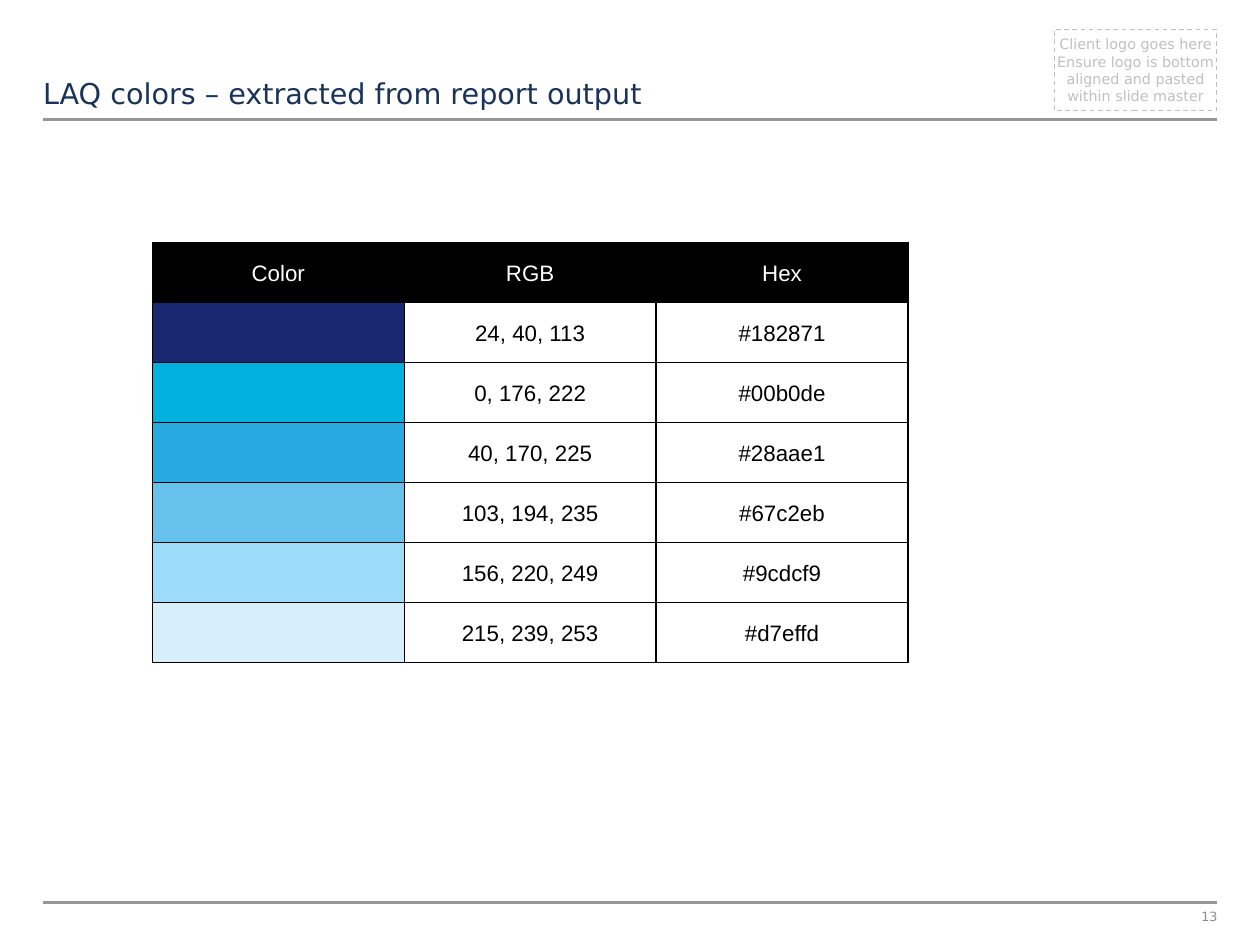
from lxml import etree
from pptx import Presentation
from pptx.dml.color import RGBColor
from pptx.enum.dml import MSO_LINE
from pptx.enum.shapes import MSO_CONNECTOR, MSO_SHAPE
from pptx.enum.text import MSO_ANCHOR, MSO_AUTO_SIZE, PP_ALIGN
from pptx.oxml.ns import qn
from pptx.util import Pt

LEFT, CENTER, RIGHT = PP_ALIGN.LEFT, PP_ALIGN.CENTER, PP_ALIGN.RIGHT
MIDDLE, BOTTOM = MSO_ANCHOR.MIDDLE, MSO_ANCHOR.BOTTOM
NO_AUTOFIT = MSO_AUTO_SIZE.NONE
STRAIGHT = MSO_CONNECTOR.STRAIGHT
RECTANGLE = MSO_SHAPE.RECTANGLE
DASH = MSO_LINE.DASH

NAVY = RGBColor(0x1A, 0x34, 0x59)
BLACK = RGBColor(0, 0, 0)
WHITE = RGBColor(255, 255, 255)
RULE_GRAY = RGBColor(0x96, 0x96, 0x96)
NUMBER_GRAY = RGBColor(0x8C, 0x8C, 0x8C)
BORDER_GRAY = RGBColor(0xBF, 0xBF, 0xBF)
HINT_GRAY = RGBColor(0xC0, 0xC0, 0xC0)

SLIDE_WIDTH, SLIDE_HEIGHT = 791.28, 592.56
RULE_LEFT, RULE_RIGHT = 27, 764
HEADER = ("Color", "RGB", "Hex")
SWATCHES = (
    (24, 40, 113),
    (0, 176, 222),
    (40, 170, 225),
    (103, 194, 235),
    (156, 220, 249),
    (215, 239, 253),
)


class SlideBuilder:
    title_only_layout = 5
    heading_font = "DejaVu Sans"
    table_font = "Arial"

    def __init__(self, presentation):
        layout = presentation.slide_layouts[self.title_only_layout]
        self.slide = presentation.slides.add_slide(layout)

    def add_text(self, paragraph, text, size, color, font, align):
        paragraph.alignment = align
        run = paragraph.add_run()
        run.text = text
        run.font.size = Pt(size)
        run.font.name = font
        run.font.color.rgb = color

    def fill_frame(self, frame, lines, size, color, align, anchor):
        """Put one paragraph per line into a frame without margins."""
        frame.word_wrap = True
        frame.auto_size = NO_AUTOFIT
        frame.vertical_anchor = anchor
        frame.margin_left = frame.margin_right = 0
        frame.margin_top = frame.margin_bottom = 0
        for index, line in enumerate(lines):
            paragraph = frame.add_paragraph() if index else frame.paragraphs[0]
            self.add_text(paragraph, line, size, color, self.heading_font, align)

    def title(self, text, left, top, width, height):
        shape = self.slide.shapes.title
        shape.left, shape.top = Pt(left), Pt(top)
        shape.width, shape.height = Pt(width), Pt(height)
        self.fill_frame(shape.text_frame, [text], 18, NAVY, LEFT, BOTTOM)

    def page_number(self, text, left, top, width, height):
        shape = self.slide.shapes.add_textbox(Pt(left), Pt(top), Pt(width), Pt(height))
        self.fill_frame(shape.text_frame, [text], 8, NUMBER_GRAY, RIGHT, MIDDLE)

    def logo_box(self, lines, left, top, width, height):
        shape = self.slide.shapes.add_shape(
            RECTANGLE, Pt(left), Pt(top), Pt(width), Pt(height))
        shape.shadow.inherit = False
        shape.fill.background()
        shape.line.color.rgb = BORDER_GRAY
        shape.line.width = Pt(0.75)
        shape.line.dash_style = DASH
        self.fill_frame(shape.text_frame, lines, 9, HINT_GRAY, CENTER, MIDDLE)

    def rule(self, top):
        connector = self.slide.shapes.add_connector(
            STRAIGHT, Pt(RULE_LEFT), Pt(top), Pt(RULE_RIGHT), Pt(top))
        connector.line.color.rgb = RULE_GRAY
        connector.line.width = Pt(1.5)
        etree.SubElement(connector._element.spPr, qn("a:effectLst"))

    def cell(self, cell, fill, text="", color=BLACK):
        cell.vertical_anchor = MIDDLE
        cell.margin_left = cell.margin_right = Pt(5)
        cell.margin_top = cell.margin_bottom = 0
        if text:
            paragraph = cell.text_frame.paragraphs[0]
            paragraph.line_spacing = 1.07
            self.add_text(paragraph, text, 14, color, self.table_font, CENTER)
        properties = cell._tc.get_or_add_tcPr()
        for side in ("lnL", "lnR", "lnT", "lnB"):
            border = etree.SubElement(properties, qn(f"a:{side}"), w=str(Pt(1)))
            solid = etree.SubElement(border, qn("a:solidFill"))
            etree.SubElement(solid, qn("a:srgbClr"), val=str(BLACK))
        cell.fill.solid()
        cell.fill.fore_color.rgb = fill

    def color_table(self, left, top, column_width, row_height):
        rows, columns = len(SWATCHES) + 1, len(HEADER)
        table = self.slide.shapes.add_table(
            rows, columns, Pt(left), Pt(top),
            Pt(column_width * columns), Pt(row_height * rows)).table
        for column in table.columns:
            column.width = Pt(column_width)
        for row in table.rows:
            row.height = Pt(row_height)
        for index, heading in enumerate(HEADER):
            self.cell(table.cell(0, index), BLACK, heading, WHITE)
        for index, channels in enumerate(SWATCHES, start=1):
            swatch = RGBColor(*channels)
            self.cell(table.cell(index, 0), swatch)
            self.cell(table.cell(index, 1), WHITE, ", ".join(map(str, channels)))
            self.cell(table.cell(index, 2), WHITE, f"#{swatch}".lower())


def main():
    presentation = Presentation()
    presentation.slide_width = Pt(SLIDE_WIDTH)
    presentation.slide_height = Pt(SLIDE_HEIGHT)
    builder = SlideBuilder(presentation)
    builder.page_number("13", 710, 570.5, 54.7, 9.5)
    builder.rule(75)
    builder.rule(566.5)
    builder.logo_box(
        ("Client logo goes here",
         "Ensure logo is bottom aligned and pasted within slide master"),
        662, 18.5, 102.2, 51)
    builder.title("LAQ colors – extracted from report output", 27, 18.5, 635, 51)
    builder.color_table(95.7, 152.3, 158.2, 37.7)
    presentation.save("out.pptx")


if __name__ == "__main__":
    main()
